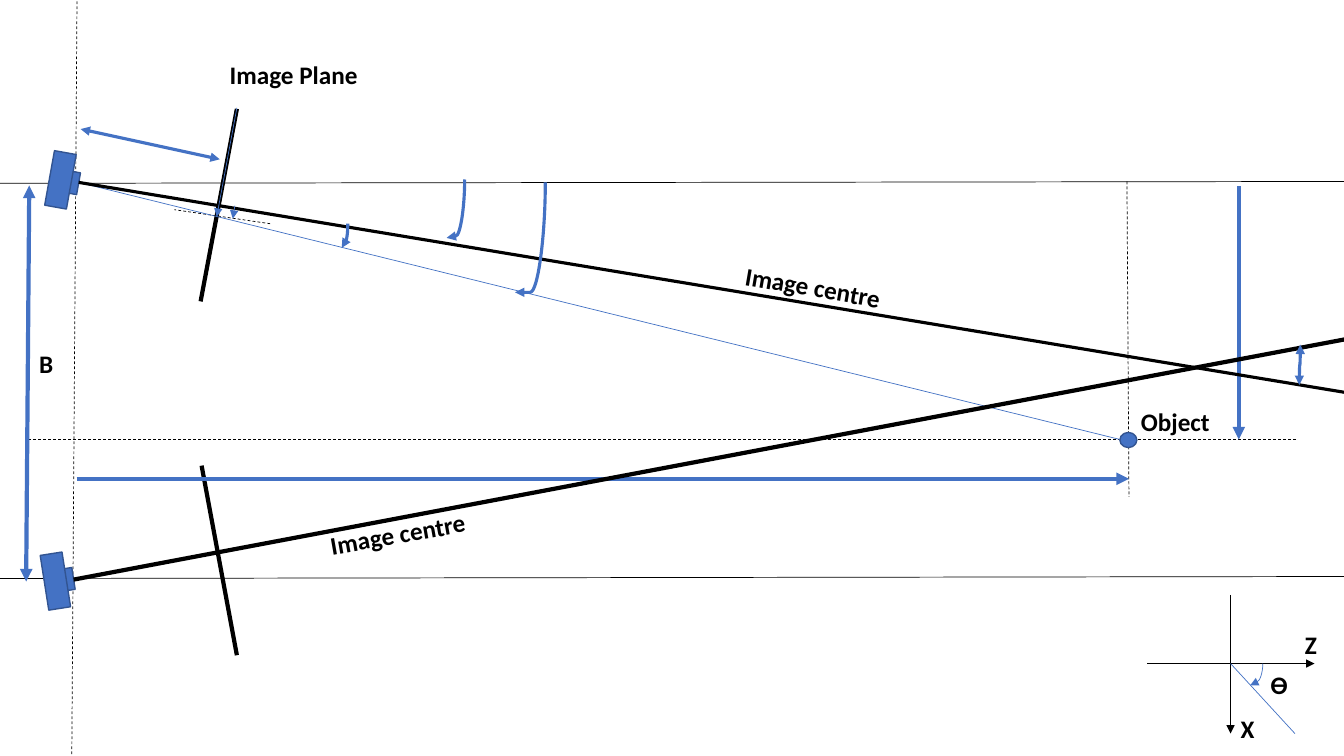
from lxml.etree import SubElement as Sub
from pptx import Presentation
from pptx.dml.color import RGBColor as Rgb
from pptx.enum.dml import MSO_LINE as Dash
from pptx.enum.shapes import MSO_CONNECTOR as Link, MSO_SHAPE as Kind
from pptx.enum.text import MSO_AUTO_SIZE as Fit, PP_ALIGN as Align
from pptx.oxml.ns import qn
from pptx.util import Pt

HUES = {"ink": "000000", "blue": "4472C4", "edge": "325491"}
FONT = {"name": "Calibri", "size": Pt(18), "bold": True}


def tint(name):
    return Rgb.from_string(HUES[name])


def apply(item, values):
    for key, value in values.items():
        setattr(item, key, value)


def label(host, text, left, top, width=27, turn=0, align=Align.LEFT):
    box = host.add_textbox(Pt(left), Pt(top), Pt(width), Pt(29))
    box.rotation = turn
    frame = box.text_frame
    apply(frame, {"word_wrap": True, "auto_size": Fit.SHAPE_TO_FIT_TEXT})
    para = frame.paragraphs[0]
    para.alignment = align
    run = para.add_run()
    run.text = text
    apply(run.font, FONT)
    run.font.color.rgb = tint("ink")


def style(link, hue, width, ends, dash):
    link.line.color.rgb = tint(hue)
    link.line.width = Pt(width)
    if dash:
        link.line.dash_style = Dash.DASH
    props = link._element.spPr
    for end in ends.split():
        Sub(props.find(qn("a:ln")), qn(f"a:{end}End"), type="triangle")
    Sub(props, qn("a:effectLst"))


def line(host, start, end, hue="ink", width=0.5, ends="", dash=False, lens=None):
    link = host.add_connector(Link.STRAIGHT, *map(Pt, start + end))
    if lens is not None:
        link.begin_connect(lens, 3)
    style(link, hue, width, ends, dash)


def arc(host, start, end, bend=0.5, width=2.25, ends="tail"):
    (x, y), (u, v) = start, end
    mid, high = (x + u) / 2, (y + v) / 2
    wide, tall = (v - y) / 2, (x - u) / 2
    link = host.add_connector(Link.CURVE, Pt(mid - wide), Pt(high - tall),
                              Pt(mid + wide), Pt(high + tall))
    props = link._element.spPr
    props.find(qn("a:xfrm")).set("rot", "5400000")
    geom = props.find(qn("a:prstGeom"))
    guides = geom.find(qn("a:avLst"))
    if guides is None:
        guides = Sub(geom, qn("a:avLst"))
    Sub(guides, qn("a:gd"), name="adj1", fmla=f"val {round(bend * 100000)}")
    style(link, "blue", width, ends, False)


def solid(host, kind, left, top, width, height, turn=0):
    shape = host.add_shape(kind, Pt(left), Pt(top), Pt(width), Pt(height))
    shape.rotation = turn
    shape.shadow.inherit = False
    shape.fill.solid()
    shape.fill.fore_color.rgb = tint("blue")
    shape.line.color.rgb = tint("edge")
    shape.line.width = Pt(1)
    return shape


def camera(host, front, body, turn):
    group = host.add_group_shape().shapes
    lens = solid(group, Kind.RECTANGLE, *front, 10.8, 15.8, turn)
    solid(group, Kind.RECTANGLE, *body, 15.8, 39.6, turn)
    return lens


def axes(host):
    group = host.add_group_shape().shapes
    line(group, (879, 425), (879, 524), ends="tail")
    line(group, (819.5, 474), (939, 474), ends="tail")
    line(group, (879, 474), (925, 524), "blue")
    arc(group, (902, 474), (893, 489.5), 0.85, 0.5)
    label(group, "Z", 925, 446)
    label(group, "X", 879, 506)
    label(group, "ϴ", 900.5, 474.5)


def guides(host):
    line(host, (-27.4, 131), (972.7, 129.6))
    line(host, (-39.6, 413.3), (960.5, 411.8))
    line(host, (55.4, -56.2), (51.1, 567.4), dash=True)
    line(host, (805, 129.6), (806.4, 355), dash=True)
    line(host, (925.9, 313.9), (20.9, 313.9), dash=True)
    line(host, (193, 159.8), (124.6, 149.8), dash=True)


def views(host):
    upper = camera(host, (45.4, 122.4), (35.3, 108.7), 10.2)
    lower = camera(host, (41.8, 406.1), (31.7, 395.3), -8.9)
    solid(host, Kind.OVAL, 799.9, 308.9, 12.2, 10.8)
    line(host, (169.2, 77.8), (143.3, 215.3), width=3)
    line(host, (144, 332.6), (169.2, 468), width=3)
    line(host, (56.2, 131), (799.9, 313.9), "blue", lens=upper)
    line(host, (54.7, 342), (806.4, 342), "blue", 3, "tail")
    line(host, (884.9, 133.2), (884.9, 313.9), "blue", 3, "tail")
    line(host, (55.4, 130.3), (1159.2, 313.2), width=2.25, lens=upper)
    line(host, (52.6, 413.3), (1131.1, 210.2), width=3, lens=lower)


def gauges(host):
    line(host, (57.6, 92.2), (157, 113.8), "blue", 2.25, "head tail")
    line(host, (20.9, 132.5), (18.7, 415.4), "blue", 3, "head tail")
    line(host, (169.2, 77), (154.8, 154.8), "blue", ends="tail")
    line(host, (167.8, 146.9), (166.3, 156.2), "blue", ends="tail")
    arc(host, (248.4, 159.8), (244.1, 177.1), 0.8)
    arc(host, (331.9, 128.2), (319, 169.9), 0.97)
    arc(host, (389.5, 130.3), (367.9, 208.8), 1)
    arc(host, (928.8, 246.2), (928.1, 275), ends="head tail")


def names(host):
    label(host, "Image Plane", 157, 38.9, 141)
    label(host, "Image centre", 524.9, 190.8, 115.2, 9.8)
    label(host, "Image centre", 228.2, 366.5, 115.2, -10.2)
    label(host, "Object", 807.8, 286.6, 87.8)
    label(host, "B", 18.7, 245.5, 28.8, align=Align.CENTER)


def main():
    deck = Presentation()
    apply(deck, {"slide_width": Pt(960), "slide_height": Pt(540)})
    host = deck.slides.add_slide(deck.slide_layouts[6]).shapes
    for draw in (axes, guides, views, gauges, names):
        draw(host)
    deck.save("out.pptx")


if __name__ == "__main__":
    main()
